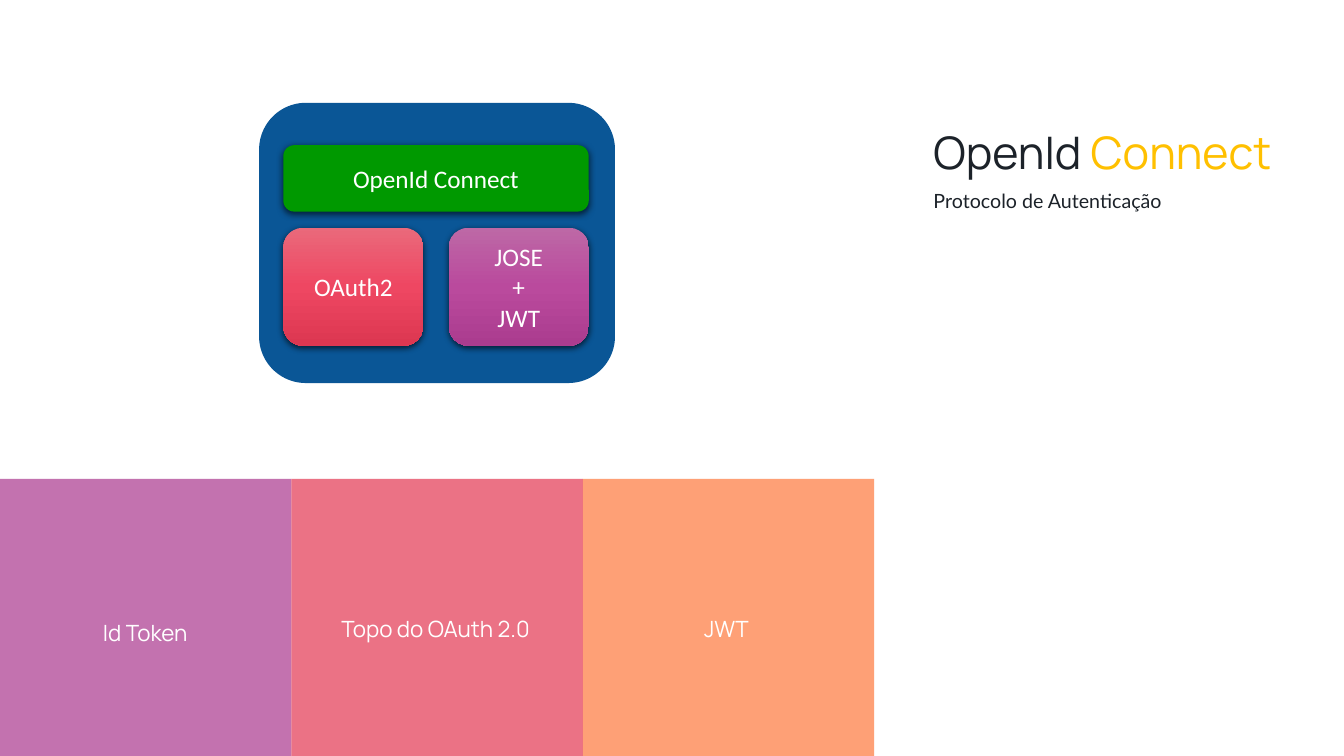
"""Builds the OpenId Connect slide."""
from lxml.etree import SubElement
from pptx import Presentation
from pptx.dml.color import RGBColor
from pptx.enum.shapes import MSO_SHAPE as Kind
from pptx.enum.text import MSO_ANCHOR as Anchor, MSO_AUTO_SIZE as Auto, PP_ALIGN as Align
from pptx.oxml.ns import qn
from pptx.util import Pt

PX = 9144
WHITE = RGBColor(0xFF, 0xFF, 0xFF)
INK = RGBColor(0x1C, 0x22, 0x29)
GOLD = RGBColor(0xFF, 0xC0, 0x00)
BLUE = RGBColor(0x0A, 0x56, 0x96)
GREEN = RGBColor(0x00, 0x99, 0x00)
PURPLE = RGBColor(0xB5, 0x4F, 0x9B)
ROSE = RGBColor(0xE6, 0x4F, 0x67)
ORANGE = RGBColor(0xFE, 0x89, 0x54)
REDS = (RGBColor(0xEA, 0x69, 0x7B), RGBColor(0xEE, 0x47, 0x62), RGBColor(0xDC, 0x37, 0x51))
PLUMS = (RGBColor(0xBD, 0x68, 0xA6), RGBColor(0xBA, 0x4A, 0x9D), RGBColor(0xAB, 0x3C, 0x8F))

LABEL = {"name": "Manrope", "size": Pt(16)}
TITLE = {"name": "Manrope", "size": Pt(32)}
SUB = {"name": "Lato", "size": Pt(14)}
BLOCK = {"name": "Calibri", "size": Pt(18)}


def emu(box):
    """Turn px lengths into EMU."""
    return [n * PX for n in box]


def apply(item, form):
    """Set each format value on an item."""
    for key, val in form.items():
        setattr(item, key, val)


def write(frame, lines, font, align):
    """Write lines, each a list of (text, colour) runs."""
    for i, line in enumerate(lines):
        para = frame.add_paragraph() if i else frame.paragraphs[0]
        para.alignment = align
        for text, color in line:
            run = para.add_run()
            run.text = text
            apply(run.font, font)
            run.font.color.rgb = color


def label(shapes, box, runs, font, align=Align.LEFT):
    """Add a one-line text box."""
    frame = shapes.add_textbox(*emu(box)).text_frame
    apply(frame, {"word_wrap": True, "auto_size": Auto.SHAPE_TO_FIT_TEXT})
    write(frame, [runs], font, align)


def panel(shapes, kind, box, color, alpha=100):
    """Add a borderless shape with a plain fill."""
    shape = shapes.add_shape(kind, *emu(box))
    shape.shadow.inherit = False
    shape.line.fill.background()
    shape.fill.solid()
    shape.fill.fore_color.rgb = color
    if alpha < 100:
        tint = shape.fill._xPr.find(".//" + qn("a:srgbClr"))
        SubElement(tint, qn("a:alpha"), val=str(alpha * 1000))
    return shape


def blend(shape, colors):
    """Fill a shape with evenly spaced colours from top to bottom."""
    shape.fill.gradient()
    shape.fill.gradient_angle = 270
    stops = shape._element.spPr.find(".//" + qn("a:gsLst"))
    for stop in list(stops):
        stops.remove(stop)
    for i, color in enumerate(colors):
        stop = SubElement(stops, qn("a:gs"), pos=str(i * 100000 // (len(colors) - 1)))
        SubElement(stop, qn("a:srgbClr"), val=str(color))


def shade(shape):
    """Give a shape a soft shadow below it."""
    effects = shape._element.spPr.find(qn("a:effectLst"))
    shadow = SubElement(effects, qn("a:outerShdw"), blurRad=str(Pt(4.5)),
                        dist=str(Pt(1.5)), dir="5400000", rotWithShape="0")
    color = SubElement(shadow, qn("a:srgbClr"), val="000000")
    SubElement(color, qn("a:alpha"), val="63000")


def block(shapes, box, colors, lines):
    """Add a rounded block with a shadow and centred white text."""
    shape = panel(shapes, Kind.ROUNDED_RECTANGLE, box, colors[0])
    if len(colors) > 1:
        blend(shape, colors)
    shade(shape)
    apply(shape.text_frame, {"word_wrap": True, "vertical_anchor": Anchor.MIDDLE})
    write(shape.text_frame, [[(line, WHITE)] for line in lines], BLOCK, Align.CENTER)


def main():
    """Build and save the slide."""
    deck = Presentation()
    apply(deck, {"slide_width": 1333 * PX, "slide_height": 750 * PX})
    shapes = deck.slides.add_slide(deck.slide_layouts[6]).shapes

    for i, color in enumerate((PURPLE, ROSE, ORANGE)):
        panel(shapes, Kind.RECTANGLE, (i * 289, 475, 289, 275), color, 80)
    for text, left, top, width in (("Id Token", 45, 609, 198),
                                   ("Topo do OAuth 2.0", 288, 605, 288),
                                   ("JWT", 622, 605, 197)):
        label(shapes, (left, top, width, 37), [(text, WHITE)], LABEL, Align.CENTER)

    label(shapes, (916, 183, 258, 34), [("Protocolo de Autenticação", INK)], SUB)
    label(shapes, (916, 119, 387, 64), [("OpenId ", INK), ("Connect", GOLD)], TITLE)

    stack = shapes.add_group_shape().shapes
    panel(stack, Kind.RECTANGLE, (215, 62, 436, 358), WHITE)
    panel(stack, Kind.ROUNDED_RECTANGLE, (257, 102, 353, 278), BLUE)
    block(stack, (281, 144, 303, 66), [GREEN], ["OpenId Connect"])
    block(stack, (281, 226, 139, 117), REDS, ["OAuth2"])
    block(stack, (445, 226, 139, 117), PLUMS, ["JOSE", "+", "JWT"])

    deck.save("out.pptx")


if __name__ == "__main__":
    main()
